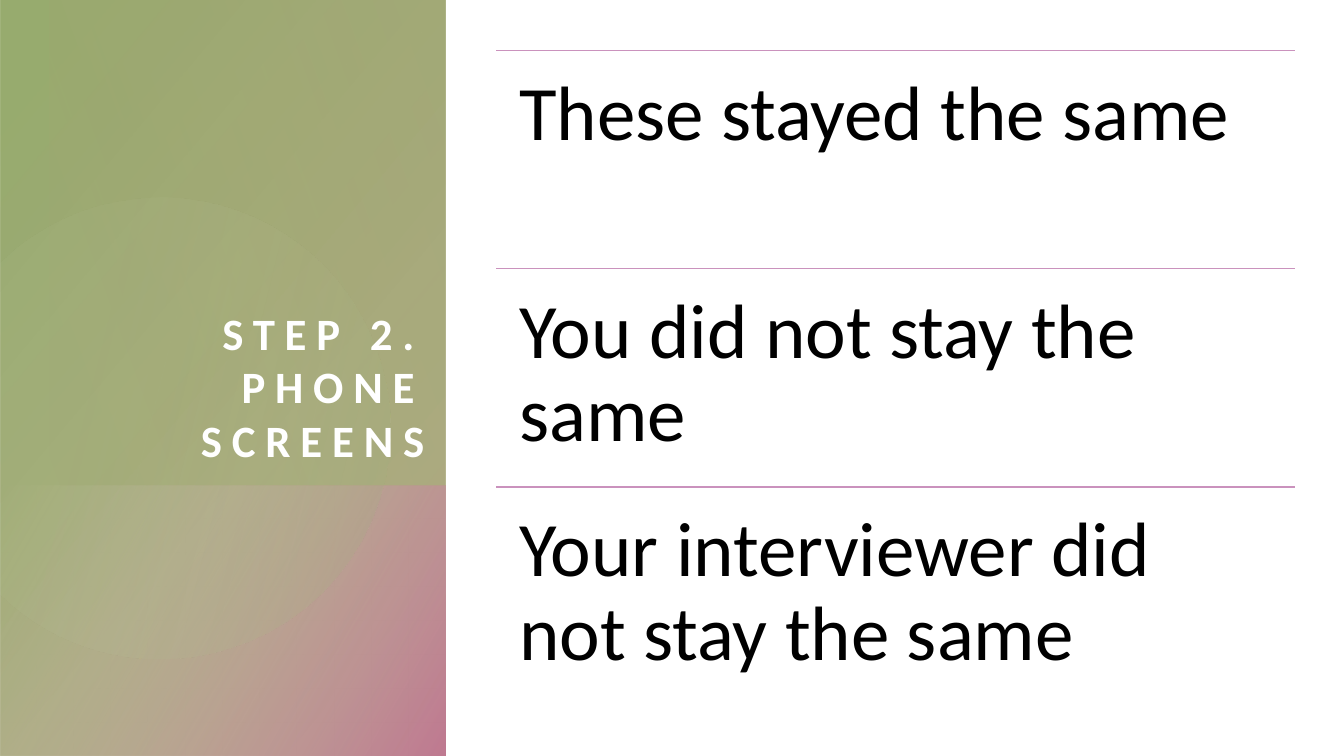
from math import cos, radians, sin

from lxml import etree
from pptx import Presentation
from pptx.dml.color import RGBColor
from pptx.enum.shapes import MSO_CONNECTOR as Connector, MSO_SHAPE as Preset
from pptx.enum.text import MSO_ANCHOR as Anchor, PP_ALIGN as Align
from pptx.oxml import parse_xml
from pptx.oxml.ns import nsdecls, qn
from pptx.util import Inches, Pt

COLORS = {
    "white": "FFFFFF", "black": "000000", "rule": "CA92BD",
    "green": "97AB6E", "pale_green": "C1CDA8", "olive": "A9A57A",
    "sand": "CBC9AF", "tan": "BF9C7A", "rose": "BF7A91",
}
ROWS = [
    "These stayed the same",
    "You did not stay the same",
    "Your interviewer did not stay the same",
]
ROW_LEFT, ROW_TOP, ROW_WIDTH, ROW_STEP = 4.92, 0.5, 7.92, 6.5 / 3

DISC_START = (1.64, 1.96)
DISC_TILT = -16.1
DISC_CENTER = (1.735, 4.205)
# Each step holds one point (straight edge) or three (cubic curve).
DISC_STEPS = [
    [(2.61, 1.98), (3.5, 2.63), (3.78, 3.62)],
    [(4.13, 4.83), (3.43, 6.1), (2.22, 6.44)],
    [(1.46, 6.66), (0.68, 6.47), (0.12, 6)],
    [(0, 5.89)],
    [(0, 2.61)],
    [(0.15, 2.47)],
    [(0.38, 2.29), (0.65, 2.14), (0.95, 2.05)],
    [(1.18, 1.99), (1.41, 1.96), DISC_START],
]


def trace(start, steps, pieces=16):
    """Return the outline as points, with curves cut into short pieces."""
    points = [start]
    for step in steps:
        if len(step) == 1:
            points.append(step[0])
            continue
        controls = [points[-1], *step]
        for piece in range(1, pieces + 1):
            t = piece / pieces
            weights = ((1 - t) ** 3, 3 * t * (1 - t) ** 2, 3 * t * t * (1 - t), t ** 3)
            points.append(tuple(
                sum(weight * point[axis] for weight, point in zip(weights, controls))
                for axis in (0, 1)
            ))
    return points


def turn(point, center, degrees):
    """Turn a point clockwise around a center."""
    angle = radians(degrees)
    dx, dy = point[0] - center[0], point[1] - center[1]
    return (center[0] + dx * cos(angle) - dy * sin(angle),
            center[1] + dx * sin(angle) + dy * cos(angle))


def set_gradient(shape, stops, angle):
    """Fill with (position, color, opacity) stops, all in percent."""
    shape.fill.background()
    marks = "".join(
        f'<a:gs pos="{position * 1000}"><a:srgbClr val="{COLORS[color]}">'
        f'<a:alpha val="{opacity * 1000}"/></a:srgbClr></a:gs>'
        for position, color, opacity in stops
    )
    gradient = parse_xml(
        f'<a:gradFill {nsdecls("a")} rotWithShape="1"><a:gsLst>{marks}</a:gsLst>'
        f'<a:lin ang="{angle * 60000}" scaled="0"/></a:gradFill>'
    )
    properties = shape._element.spPr
    properties.replace(properties.find(qn("a:noFill")), gradient)


def write(frame, text, size, color, bold=False, align=Align.LEFT,
          line_spacing=None, letter_spacing=0):
    para = frame.paragraphs[0]
    para.alignment = align
    para.line_spacing = line_spacing
    span = para.add_run()
    span.text = text
    span.font.name = "Calibri"
    span.font.size = Pt(size)
    span.font.bold = bold
    span.font.color.rgb = RGBColor.from_string(COLORS[color])
    if letter_spacing:
        span._r.get_or_add_rPr().set("spc", str(letter_spacing * 100))


class SlideBuilder:
    def __init__(self, page):
        self.page = page

    def finish(self, shape, stops, angle, rotation):
        shape.shadow.inherit = False
        shape.line.fill.background()
        shape.rotation = rotation
        set_gradient(shape, stops, angle)

    def panel(self, left, top, width, height, rotation, stops, angle):
        """Add a mirrored gradient rectangle; the box is given before rotation."""
        shape = self.page.shapes.add_shape(
            Preset.RECTANGLE, *map(Inches, (left, top, width, height)))
        self.finish(shape, stops, angle, rotation)
        shape._element.spPr.find(qn("a:xfrm")).set("flipH", "1")

    def outline(self, points, rotation, stops, angle):
        first, *others = [(Inches(x), Inches(y)) for x, y in points]
        builder = self.page.shapes.build_freeform(*first)
        builder.add_line_segments(others, close=True)
        self.finish(builder.convert_to_shape(), stops, angle, rotation)

    def rule(self, left, top, width):
        line = self.page.shapes.add_connector(
            Connector.STRAIGHT, Inches(left), Inches(top), Inches(left + width), Inches(top))
        line.line.color.rgb = RGBColor.from_string(COLORS["rule"])
        line.line.width = Pt(1)
        etree.SubElement(line._element.spPr, qn("a:effectLst"))

    def text(self, left, top, width, height, text, inset=0, anchor=Anchor.TOP, **style):
        box = self.page.shapes.add_textbox(*map(Inches, (left, top, width, height)))
        frame = box.text_frame
        frame.word_wrap = True
        frame.vertical_anchor = anchor
        frame.margin_left = frame.margin_right = Inches(inset)
        frame.margin_top = frame.margin_bottom = Inches(inset)
        write(frame, text, **style)


def main():
    deck = Presentation()
    deck.slide_width, deck.slide_height = Inches(13.33), Inches(7.5)
    slide = SlideBuilder(deck.slides.add_slide(deck.slide_layouts[6]))

    slide.panel(-1.54, 1.54, 7.5, 4.42, 270,
                [(8, "green", 100), (100, "olive", 89)], 50)
    slide.panel(0.86, 3.95, 2.69, 4.42, 270,
                [(0, "sand", 0), (99, "rose", 100)], 60)
    disc = [turn(point, DISC_CENTER, -DISC_TILT) for point in trace(DISC_START, DISC_STEPS)]
    slide.outline(disc, DISC_TILT, [(36, "pale_green", 6), (100, "green", 26)], 30)
    slide.panel(0.05, 0.45, 4.81, 3.92, 90,
                [(0, "olive", 29), (100, "tan", 0)], 110)

    slide.text(0.5, 0.95, 3.71, 3.68, "STEP 2. PHONE SCREENS", anchor=Anchor.BOTTOM,
               size=32, color="white", bold=True, align=Align.RIGHT, letter_spacing=7)
    for index, row in enumerate(ROWS):
        top = ROW_TOP + index * ROW_STEP
        slide.rule(ROW_LEFT, top, ROW_WIDTH)
        slide.text(ROW_LEFT, top, ROW_WIDTH, ROW_STEP, row, inset=0.23,
                   size=55, color="black", line_spacing=0.9)

    deck.save("out.pptx")


if __name__ == "__main__":
    main()
